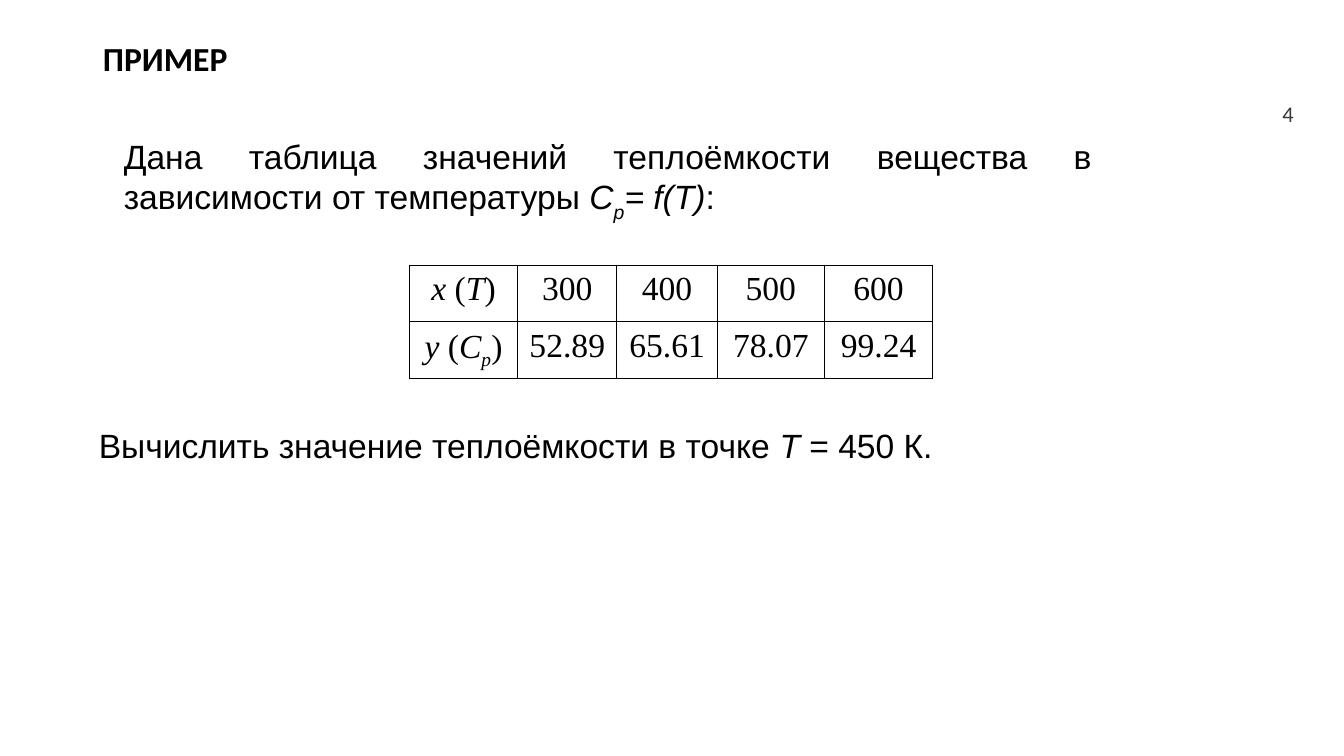
from dataclasses import dataclass

from lxml.etree import SubElement
from pptx import Presentation
from pptx.dml.color import RGBColor
from pptx.enum.text import MSO_ANCHOR, MSO_AUTO_SIZE, PP_ALIGN
from pptx.oxml.ns import qn
from pptx.slide import Slide
from pptx.table import _Cell
from pptx.text.text import Font, TextFrame, _Paragraph
from pptx.util import Cm, Pt

BLACK = "000000"
GREY = "3B3838"


@dataclass
class Piece:
    """A stretch of text; baseline is a shift in percent of the font size."""
    text: str
    italic: bool = False
    baseline: int = 0


@dataclass
class TextBlock:
    left: float
    top: float
    width: float
    height: float
    pieces: list[Piece]
    alignment: PP_ALIGN = PP_ALIGN.JUSTIFY
    anchor: MSO_ANCHOR = MSO_ANCHOR.TOP
    font_name: str = "Arial"
    size: int = 24
    color: str = BLACK


TEXT_BLOCKS = [
    TextBlock(31.55, 2.34, 1.3, 1.02, [Piece("4")], PP_ALIGN.RIGHT,
              MSO_ANCHOR.MIDDLE, "Calibri", 16, GREY),
    TextBlock(2.87, 3.3, 24.89, 2.31, [
        Piece("Дана таблица значений теплоёмкости вещества в зависимости от температуры "),
        Piece("C", True), Piece("p", True, -30), Piece("= f(T)", True), Piece(":")]),
    TextBlock(2.24, 10.59, 22.66, 1.27, [
        Piece("Вычислить значение теплоёмкости в точке "),
        Piece("Т ", True), Piece("= 450 К.")]),
]

HEAT_CAPACITY_ROWS = [
    [[Piece("x", True), Piece(" ("), Piece("T", True), Piece(")")],
     *([Piece(value)] for value in ("300", "400", "500", "600"))],
    [[Piece("y", True), Piece(" ("), Piece("C", True), Piece("p", True, -25), Piece(")")],
     *([Piece(value)] for value in ("52.89", "65.61", "78.07", "99.24"))],
]
COLUMN_WIDTHS = [2.74, 2.49, 2.54, 2.69, 2.74]
ROW_HEIGHT = 1.43


def format_font(font: Font, name: str, size: int, color: str) -> None:
    font.name = name
    font.size = Pt(size)
    font.color.rgb = RGBColor.from_string(color)


def write_pieces(paragraph: _Paragraph, pieces: list[Piece]) -> None:
    for piece in pieces:
        run = paragraph.add_run()
        run.text = piece.text
        if piece.italic:
            run.font.italic = True
        if piece.baseline:
            run._r.get_or_add_rPr().set("baseline", str(piece.baseline * 1000))


def add_title(slide: Slide, text: str) -> None:
    title = slide.shapes.title
    title.left, title.top, title.width, title.height = Cm(2.34), Cm(0.43), Cm(27.38), Cm(2.21)
    frame: TextFrame = title.text_frame
    frame.auto_size = MSO_AUTO_SIZE.NONE
    frame.vertical_anchor = MSO_ANCHOR.MIDDLE
    frame.text = text
    paragraph = frame.paragraphs[0]
    paragraph.alignment = PP_ALIGN.LEFT
    paragraph.line_spacing = 0.9
    format_font(paragraph.font, "Calibri", 24, BLACK)
    paragraph.font.bold = True


def add_text_block(slide: Slide, block: TextBlock) -> None:
    box = slide.shapes.add_textbox(Cm(block.left), Cm(block.top), Cm(block.width), Cm(block.height))
    frame = box.text_frame
    frame.word_wrap = True
    frame.vertical_anchor = block.anchor
    paragraph = frame.paragraphs[0]
    paragraph.alignment = block.alignment
    write_pieces(paragraph, block.pieces)
    format_font(paragraph.font, block.font_name, block.size, block.color)


def set_borders(cell: _Cell, color: str) -> None:
    properties = cell._tc.get_or_add_tcPr()
    for index, side in enumerate(("a:lnL", "a:lnR", "a:lnT", "a:lnB")):
        line = SubElement(properties, qn(side), w=str(Pt(1)))
        fill = SubElement(line, qn("a:solidFill"))
        SubElement(fill, qn("a:srgbClr"), val=color)
        properties.insert(index, line)


def fill_cell(cell: _Cell, pieces: list[Piece]) -> None:
    cell.margin_left = cell.margin_right = Cm(0.18)
    cell.margin_top = cell.margin_bottom = 0
    cell.fill.background()
    set_borders(cell, BLACK)
    paragraph = cell.text_frame.paragraphs[0]
    paragraph.alignment = PP_ALIGN.CENTER
    paragraph.line_spacing = 1.15
    write_pieces(paragraph, pieces)
    format_font(paragraph.font, "Times New Roman", 24, BLACK)


def add_heat_capacity_table(slide: Slide) -> None:
    row_count = len(HEAT_CAPACITY_ROWS)
    table = slide.shapes.add_table(
        row_count, len(COLUMN_WIDTHS), Cm(10.31), Cm(6.68),
        Cm(sum(COLUMN_WIDTHS)), Cm(ROW_HEIGHT * row_count)).table
    table.first_row = table.horz_banding = False
    for column, width in zip(table.columns, COLUMN_WIDTHS):
        column.width = Cm(width)
    for row, contents in zip(table.rows, HEAT_CAPACITY_ROWS):
        row.height = Cm(ROW_HEIGHT)
        for cell, pieces in zip(row.cells, contents):
            fill_cell(cell, pieces)


def main() -> None:
    presentation = Presentation()
    presentation.slide_width, presentation.slide_height = Cm(33.87), Cm(19.05)
    slide = presentation.slides.add_slide(presentation.slide_layouts[5])
    add_title(slide, "ПРИМЕР")
    for block in TEXT_BLOCKS:
        add_text_block(slide, block)
    add_heat_capacity_table(slide)
    presentation.save("out.pptx")


if __name__ == "__main__":
    main()
